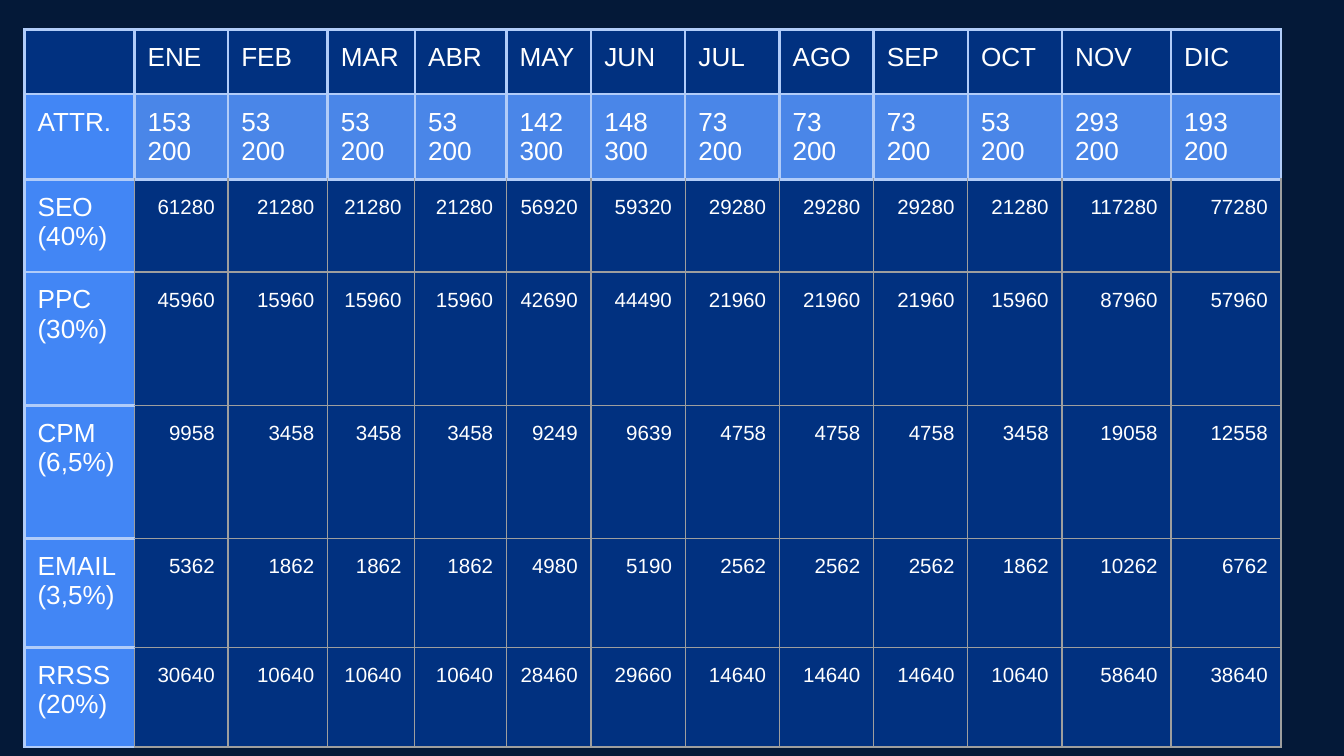
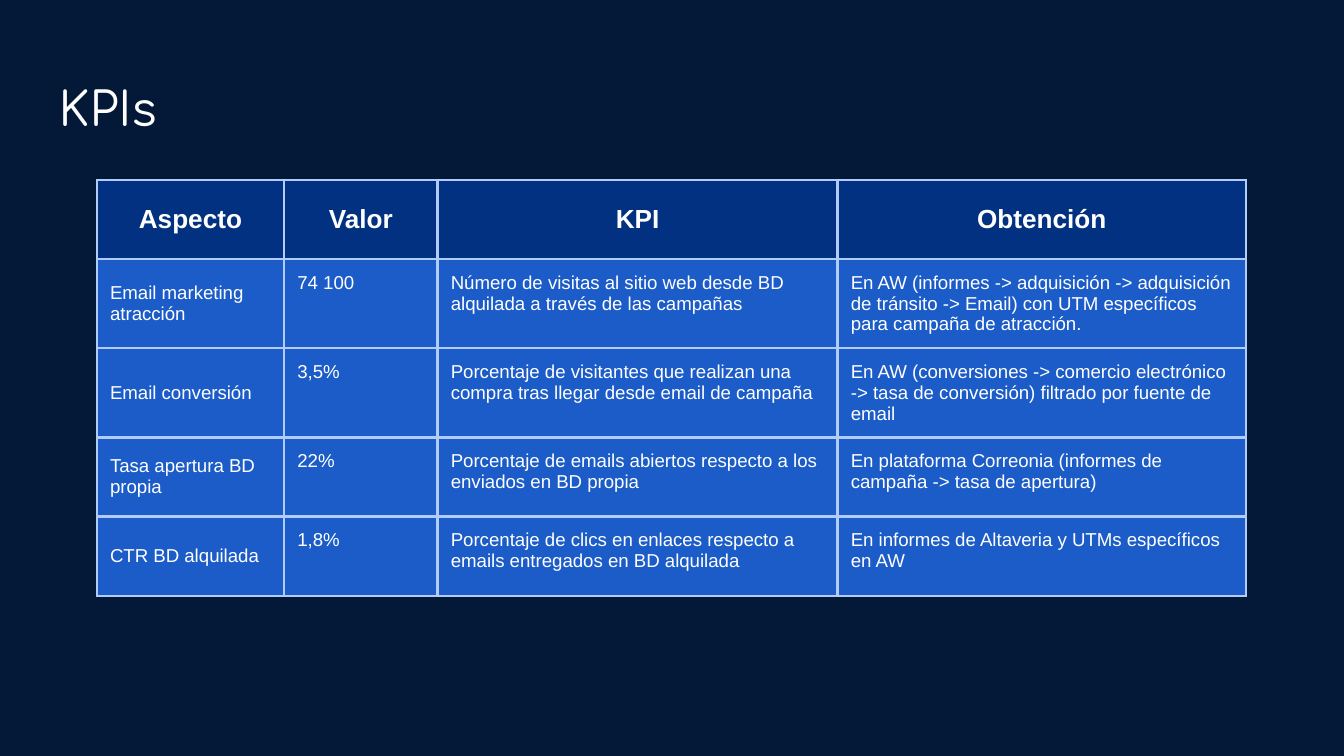
from lxml.etree import SubElement
from pptx import Presentation
from pptx.dml.color import RGBColor
from pptx.enum.text import MSO_ANCHOR, PP_ALIGN
from pptx.oxml.ns import qn
from pptx.util import Cm, Pt

BACKGROUND = "041938"
NAVY = "013180"
BLUE = "1B5CC8"
LABEL_BLUE = "4286F5"
TOTAL_BLUE = "4A86E8"
WHITE = "FFFFFF"
PALE_LINE = ("B1CCF9", 1.5)
GREY_LINE = ("9E9E9E", 0.75)
INSET = Cm(0.25)

TITLE_ONLY, BLANK = 5, 6

MONTHS = ["ENE", "FEB", "MAR", "ABR", "MAY", "JUN",
          "JUL", "AGO", "SEP", "OCT", "NOV", "DIC"]
ATTRACTION = [153200, 53200, 53200, 53200, 142300, 148300,
              73200, 73200, 73200, 53200, 293200, 193200]
CHANNEL_PER_MILLE = {"SEO\n(40%)": 400, "PPC\n(30%)": 300, "CPM\n(6,5%)": 65,
                     "EMAIL\n(3,5%)": 35, "RRSS\n(20%)": 200}

KPI_HEADINGS = ["Aspecto", "Valor", "KPI", "Obtención"]
KPIS = [
    ["Email marketing atracción", "74 100",
     "Número de visitas al sitio web desde BD alquilada a través de las campañas",
     "En AW (informes -> adquisición -> adquisición de tránsito -> Email) "
     "con UTM específicos para campaña de atracción."],
    ["Email conversión", "3,5%",
     "Porcentaje de visitantes que realizan una compra tras llegar desde email de campaña",
     "En AW (conversiones -> comercio electrónico -> tasa de conversión) "
     "filtrado por fuente de email"],
    ["Tasa apertura BD propia", "22%",
     "Porcentaje de emails abiertos respecto a los enviados en BD propia",
     "En plataforma Correonia (informes de campaña -> tasa de apertura)"],
    ["CTR BD alquilada", "1,8%",
     "Porcentaje de clics en enlaces respecto a emails entregados en BD alquilada",
     "En informes de Altaveria y UTMs específicos en AW"],
]


def rgb(hex_code):
    return RGBColor.from_string(hex_code)


def add_run(paragraph, text, size, font="Arial", bold=False):
    run = paragraph.add_run()
    run.text = text
    run.font.name = font
    run.font.size = Pt(size)
    run.font.bold = bold
    run.font.color.rgb = rgb(WHITE)


def set_borders(cell, left, right, top, bottom):
    """Draw the four cell edges, each given as (colour, points)."""
    properties = cell._tc.get_or_add_tcPr()
    for side, (color, width) in zip("LRTB", (left, right, top, bottom)):
        line = SubElement(properties, qn(f"a:ln{side}"), w=str(Pt(width)))
        fill = SubElement(line, qn("a:solidFill"))
        SubElement(fill, qn("a:srgbClr"), val=color)


def fill_cell(cell, text, fill, size, borders=(PALE_LINE,) * 4, bold=False,
              align=PP_ALIGN.LEFT, anchor=MSO_ANCHOR.TOP, spacing=None):
    set_borders(cell, *borders)
    cell.fill.solid()
    cell.fill.fore_color.rgb = rgb(fill)
    cell.margin_left = cell.margin_right = INSET
    cell.margin_top = cell.margin_bottom = INSET
    cell.vertical_anchor = anchor
    frame = cell.text_frame
    for index, line in enumerate(text.split("\n")):
        paragraph = frame.add_paragraph() if index else frame.paragraphs[0]
        paragraph.alignment = align
        if spacing:
            paragraph.line_spacing = spacing
        add_run(paragraph, line, size, bold=bold)


def add_grid(slide, left, top, widths, heights):
    """Add an unstyled table with column widths and row heights in cm."""
    table = slide.shapes.add_table(
        len(heights), len(widths), Cm(left), Cm(top),
        Cm(sum(widths)), Cm(sum(heights))).table
    table.first_row = table.horz_banding = False
    for column, width in zip(table.columns, widths):
        column.width = Cm(width)
    for row, height in zip(table.rows, heights):
        row.height = Cm(height)
    return table


def add_monthly_traffic(slide, left, top):
    widths = [2.08, 1.77, 1.88, 1.65, 1.73, 1.6] + [1.78] * 5 + [2.06, 2.08]
    heights = [1.22, 1.61, 1.75, 2.52, 2.52, 2.06, 1.88]
    table = add_grid(slide, left, top, widths, heights)

    for column, month in enumerate([""] + MONTHS):
        fill_cell(table.cell(0, column), month, NAVY, 14)

    fill_cell(table.cell(1, 0), "ATTR.", LABEL_BLUE, 14)
    for column, visits in enumerate(ATTRACTION, 1):
        grouped = f"{visits:,}".replace(",", " ")
        fill_cell(table.cell(1, column), grouped, TOTAL_BLUE, 14)

    label_borders = (PALE_LINE, GREY_LINE, PALE_LINE, PALE_LINE)
    for row, (channel, share) in enumerate(CHANNEL_PER_MILLE.items(), 2):
        fill_cell(table.cell(row, 0), channel, LABEL_BLUE, 14, label_borders)
        top_line = PALE_LINE if row == 2 else GREY_LINE
        for column, visits in enumerate(ATTRACTION, 1):
            fill_cell(table.cell(row, column), str(visits * share // 1000), NAVY, 11,
                      (GREY_LINE, GREY_LINE, top_line, GREY_LINE),
                      align=PP_ALIGN.RIGHT, spacing=1.15)


def add_kpi_table(slide, left, top):
    table = add_grid(slide, left, top, [3.54, 2.9, 7.56, 7.72],
                     [1.5] * (len(KPIS) + 1))
    for column, heading in enumerate(KPI_HEADINGS):
        fill_cell(table.cell(0, column), heading, NAVY, 14, bold=True,
                  align=PP_ALIGN.CENTER, anchor=MSO_ANCHOR.MIDDLE)
    for row, kpi in enumerate(KPIS, 1):
        for column, text in enumerate(kpi):
            anchor = MSO_ANCHOR.TOP if column else MSO_ANCHOR.MIDDLE
            fill_cell(table.cell(row, column), text, BLUE, 10, anchor=anchor)


def set_title(slide, text, left, top, width, height):
    title = slide.shapes.title
    title.left, title.top = Cm(left), Cm(top)
    title.width, title.height = Cm(width), Cm(height)
    frame = title.text_frame
    frame.margin_left = frame.margin_right = INSET
    frame.margin_top = frame.margin_bottom = INSET
    frame.vertical_anchor = MSO_ANCHOR.MIDDLE
    paragraph = frame.paragraphs[0]
    paragraph.alignment = PP_ALIGN.LEFT
    add_run(paragraph, text, 25.2, font="Comfortaa")


def main():
    deck = Presentation()
    deck.slide_width, deck.slide_height = Cm(25.4), Cm(14.29)
    background = deck.slide_master.background.fill
    background.solid()
    background.fore_color.rgb = rgb(BACKGROUND)

    traffic = deck.slides.add_slide(deck.slide_layouts[BLANK])
    add_monthly_traffic(traffic, 0.46, 0.56)

    kpis = deck.slides.add_slide(deck.slide_layouts[TITLE_ONLY])
    set_title(kpis, "KPIs", 0.86, 1.24, 23.67, 1.6)
    add_kpi_table(kpis, 1.83, 3.4)

    deck.save("out.pptx")


if __name__ == "__main__":
    main()
